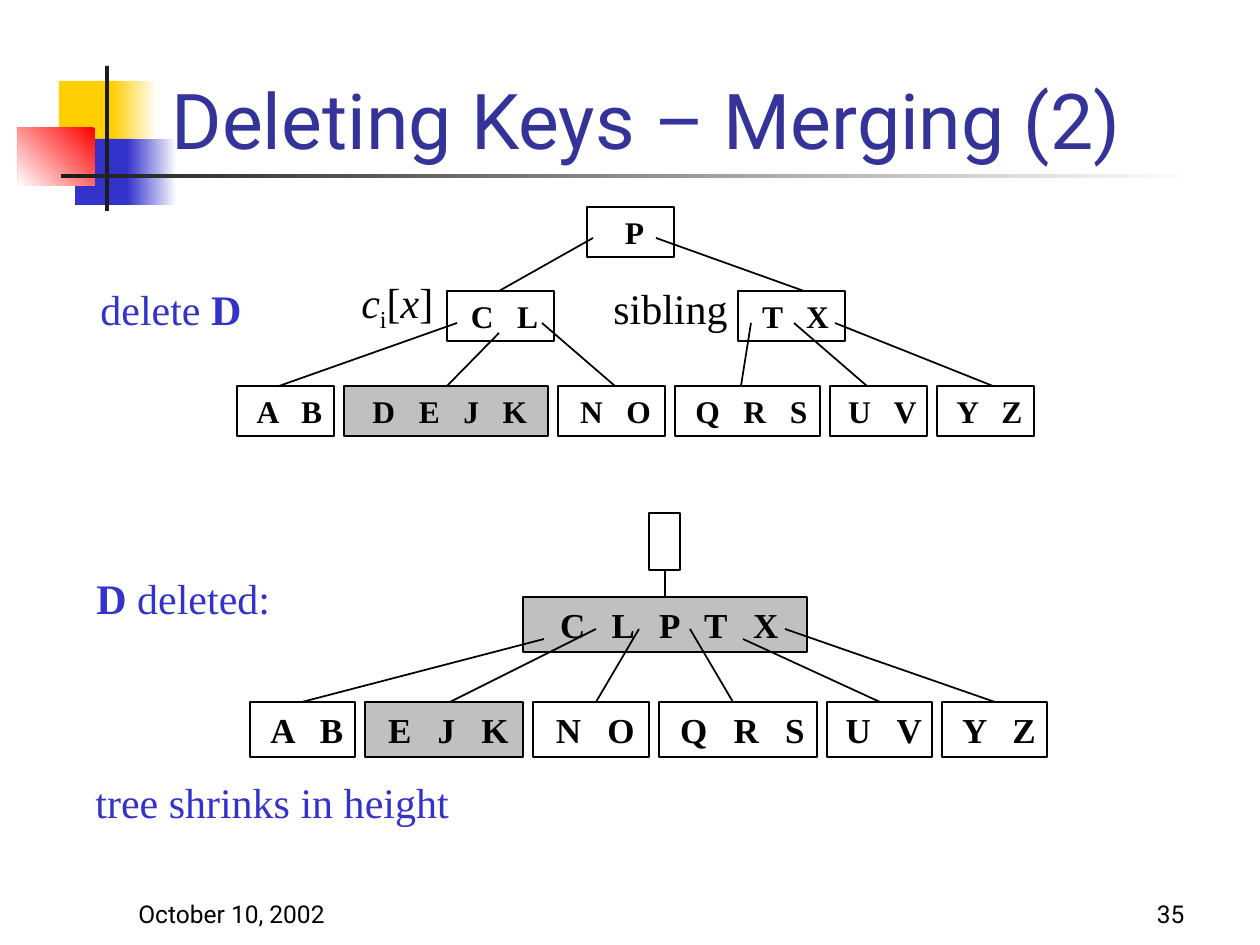
import pptx
import pptx.util
import pptx.dml.color
import pptx.enum.shapes
import pptx.enum.text
import pptx.oxml
import pptx.oxml.ns

SCALE = 914400 / 126
GAP = 10
ALIGN = pptx.enum.text.PP_ALIGN
ANCHOR = pptx.enum.text.MSO_ANCHOR


class Theme:
    sans, serif = "Roboto", "Times New Roman"
    title, blue, ink, line = "333399", "3333CC", "000000", "1C1C1C"
    gold, red, gray, white = "FFCF01", "FF0000", "C0C0C0", "FFFFFF"
    head, body, foot = 44, 24, 14


def px(*nums):
    return [round(n * SCALE) for n in nums]


def rgb(code):
    return pptx.dml.color.RGBColor.from_string(code)


def style(font, face, size, color, bold=None):
    font.name, font.size, font.bold = face, pptx.util.Pt(size), bold
    font.color.rgb = rgb(color)


def block(slide, box, fill=None, angle=None, edge=None):
    """Draw a rectangle; fill is a colour, or two gradient colours with a clockwise angle."""
    shape = slide.shapes.add_shape(pptx.enum.shapes.MSO_SHAPE.RECTANGLE, *px(*box))
    shape.shadow.inherit = False
    if angle is not None:
        shape.fill.gradient()
        shape.fill.gradient_angle = 360 - angle
        for stop, color in zip(shape.fill.gradient_stops, fill):
            stop.color.rgb = rgb(color)
    elif fill:
        shape.fill.solid()
        shape.fill.fore_color.rgb = rgb(fill)
    else:
        shape.fill.background()
    if edge:
        shape.line.color.rgb = rgb(edge)
        shape.line.width = pptx.util.Pt(1)
    else:
        shape.line.fill.background()
    return shape


def motif(slide, box):
    x, y = box[:2]
    t = Theme
    parts = [
        ((41, 15, 60, 66), t.gold, None),
        ((94, 15, 45, 66), (t.white, t.gold), 180),
        ((57, 73, 58, 66), t.blue, None),
        ((109, 73, 50, 66), (t.white, t.blue), 180),
        ((0, 62, 77, 58), (t.red, t.white), 135),
        ((87, 0, 4, 145), t.line, None),
        ((43, 108, 1134, 4), (t.white, t.line), 180),
    ]
    for (left, top, wide, high), fill, angle in parts:
        block(slide, (x + left, y + top, wide, high), fill, angle)


def heading(slide, box, text):
    title = slide.shapes.title
    title.left, title.top, title.width, title.height = px(*box)
    frame = title.text_frame
    frame.text = text
    frame.vertical_anchor = ANCHOR.BOTTOM
    frame.auto_size = pptx.enum.text.MSO_AUTO_SIZE.NONE
    para = frame.paragraphs[0]
    para.alignment = ALIGN.LEFT
    style(para.font, Theme.sans, Theme.head, Theme.title)


def label(slide, box, runs, face=Theme.serif, size=Theme.body, color=Theme.ink,
          align=ALIGN.LEFT, anchor=ANCHOR.TOP):
    """Add a line of text; each run is (text, mark) with mark b, i, sub or blank."""
    frame = slide.shapes.add_textbox(*px(*box)).text_frame
    frame.word_wrap = True
    frame.vertical_anchor = anchor
    para = frame.paragraphs[0]
    para.alignment = align
    style(para.font, face, size, color)
    for text, mark in runs:
        run = para.add_run()
        run.text = text
        if mark == "b":
            run.font.bold = True
        elif mark == "i":
            run.font.italic = True
        elif mark == "sub":
            run._r.get_or_add_rPr().set("baseline", "-25000")


def node(slide, box, keys, size, fill=None):
    """Draw a tree node; tracking of a quarter em spreads its keys."""
    shape = block(slide, box, fill, edge=Theme.ink)
    if not keys:
        return
    frame = shape.text_frame
    frame.word_wrap = True
    frame.vertical_anchor = ANCHOR.MIDDLE
    # The left inset balances the tracking after the last key.
    frame.margin_left = pptx.util.Pt(size / 4)
    frame.margin_right = frame.margin_top = frame.margin_bottom = 0
    para = frame.paragraphs[0]
    para.alignment = ALIGN.CENTER
    style(para.font, Theme.serif, size, Theme.ink, True)
    run = para.add_run()
    run.text = " ".join(keys)
    run._r.get_or_add_rPr().set("spc", str(size * 25))


def link(slide, start, end):
    line = slide.shapes.add_connector(
        pptx.enum.shapes.MSO_CONNECTOR.STRAIGHT, *px(*start, *end))
    line.line.color.rgb = rgb(Theme.ink)
    line.line.width = pptx.util.Pt(1)
    props = line._element.spPr
    props.append(pptx.oxml.parse_xml(
        "<a:effectLst %s/>" % pptx.oxml.ns.nsdecls("a")))


def tree(slide, box, size, high, tops, leaves, links):
    """Place upper nodes, a row of leaves along the box's foot, and links."""
    x, y, _, depth = box
    for keys, (left, top, wide, tall), fill in tops:
        node(slide, (x + left, y + top, wide, tall), keys, size, fill)
    left = x
    for keys, wide, fill in leaves:
        node(slide, (left, y + depth - high, wide, high), keys, size, fill)
        left += wide + GAP
    for x1, y1, x2, y2 in links:
        link(slide, (x + x1, y + y1), (x + x2, y + y2))


def before(slide, box):
    tops = [("P", (350, 0, 87, 50), None),
            ("CL", (210, 84, 107, 50), None),
            ("TX", (501, 84, 107, 50), None)]
    leaves = [("AB", 97, None), ("DEJK", 204, Theme.gray), ("NO", 107, None),
              ("QRS", 145, None), ("UV", 97, None), ("YZ", 97, None)]
    links = [(356, 31, 262, 84), (419, 31, 567, 84),
             (220, 116, 42, 179), (262, 126, 210, 179), (305, 116, 378, 179),
             (514, 116, 504, 179), (557, 116, 630, 179), (598, 116, 756, 179)]
    tree(slide, box, 18, 50, tops, leaves, links)


def after(slide, box):
    tops = [("", (399, 0, 31, 57), None),
            ("CLPTX", (273, 84, 284, 55), Theme.gray)]
    leaves = [("AB", 105, None), ("EJK", 158, Theme.gray), ("NO", 116, None),
              ("QRS", 158, None), ("UV", 105, None), ("YZ", 105, None)]
    links = [(415, 57, 415, 84),
             (294, 126, 52, 189), (346, 116, 200, 189), (389, 116, 346, 189),
             (440, 116, 483, 189), (493, 126, 630, 189), (535, 116, 745, 189)]
    tree(slide, box, 20, 55, tops, leaves, links)


def notes(slide):
    blue = Theme.blue
    label(slide, (88, 277, 210, 63), [("delete ", ""), ("D", "b")], color=blue)
    label(slide, (84, 566, 210, 63), [("D", "b"), (" deleted:", "")], color=blue)
    label(slide, (83, 770, 400, 63), [("tree shrinks in height", "")], color=blue)
    label(slide, (349, 270, 126, 70),
          [("c", "i"), ("i", "sub"), ("[", ""), ("x", "i"), ("]", "")])
    label(slide, (601, 276, 149, 63), [("sibling", "")])


def footer(slide, box):
    x, y, wide, high = box
    part = 262
    for left, text, align in [(x, "October 10, 2002", ALIGN.LEFT),
                              (x + wide - part, "35", ALIGN.RIGHT)]:
        label(slide, (left, y, part, high), [(text, "")], Theme.sans,
              Theme.foot, Theme.ink, align, ANCHOR.BOTTOM)


def main():
    deck = pptx.Presentation()
    deck.slide_width, deck.slide_height = px(1260, 945)
    slide = deck.slides.add_slide(deck.slide_layouts[5])
    motif(slide, (18, 66, 1177, 145))
    heading(slide, (159, 14, 1074, 157), "Deleting Keys – Merging (2)")
    before(slide, (237, 207, 797, 229))
    after(slide, (250, 513, 797, 244))
    notes(slide)
    footer(slide, (126, 872, 1071, 63))
    deck.save("out.pptx")


if __name__ == "__main__":
    main()
